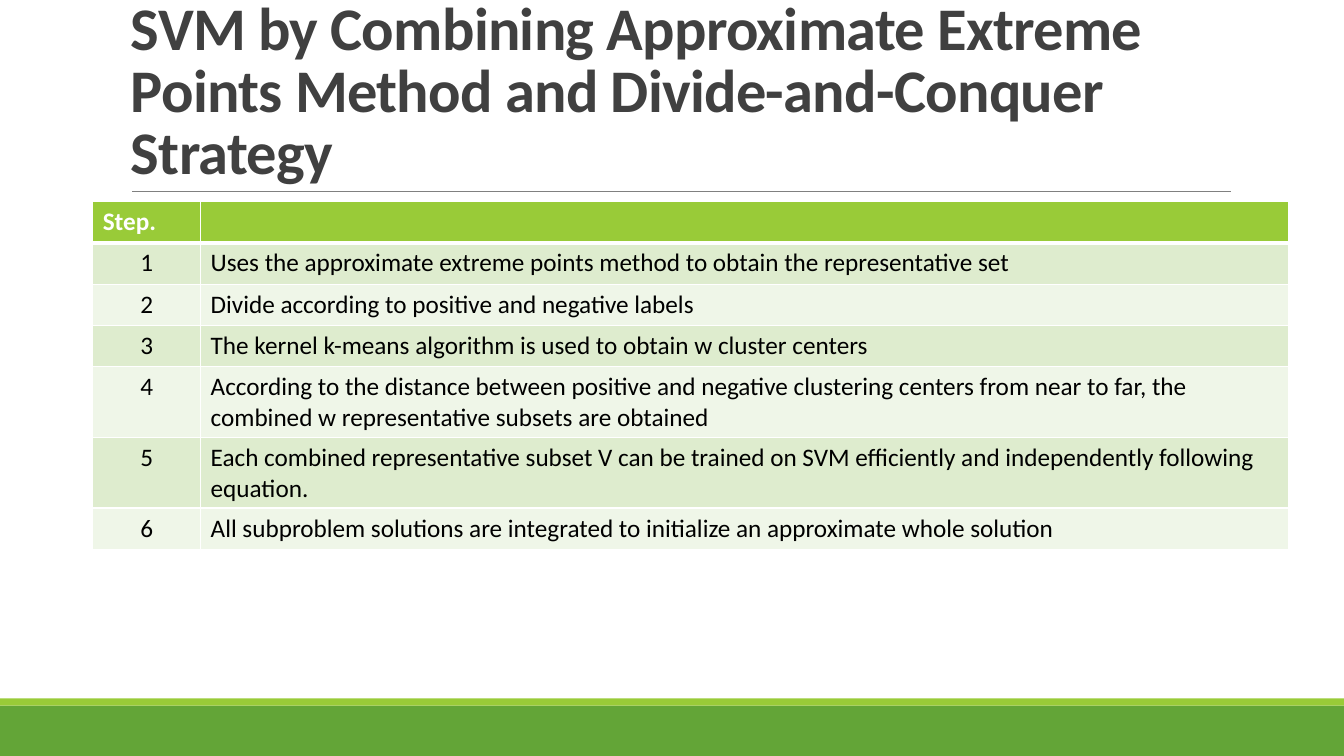
"""Builds the slide listing the steps of the combined SVM method."""
from dataclasses import dataclass

from lxml import etree
from pptx import Presentation
from pptx.dml.color import RGBColor
from pptx.enum import shapes, text
from pptx.oxml import ns
from pptx.util import Inches, Pt


@dataclass(frozen=True)
class Theme:
    """Colours, font and type sizes of the slide."""
    font: str = "Calibri"
    title_size: float = 43.2
    table_size: float = 18
    title: str = "404040"
    body: str = "000000"
    white: str = "FFFFFF"
    rule: str = "808080"
    green: str = "63A537"
    lime: str = "99CB38"
    bands: tuple = ("DEECCE", "EFF6E8")


THEME = Theme()
TITLE = ("SVM by Combining Approximate Extreme Points Method "
         "and Divide-and-Conquer Strategy")
STEPS = (
    "Uses the approximate extreme points method to obtain the representative set",
    "Divide according to positive and negative labels",
    "The kernel k-means algorithm is used to obtain w cluster centers",
    "According to the distance between positive and negative clustering centers "
    "from near to far, the combined w representative subsets are obtained",
    "Each combined representative subset V can be trained on SVM efficiently "
    "and independently following equation.",
    "All subproblem solutions are integrated to initialize an approximate whole solution",
)
COLUMN_WIDTHS = (1.07, 10.79)
ROW_HEIGHT = 0.41


def style_runs(paragraph, size, color, bold=False):
    """Format every run of a paragraph."""
    for run in paragraph.runs:
        run.font.name = THEME.font
        run.font.size = Pt(size)
        run.font.bold = bold
        run.font.color.rgb = RGBColor.from_string(color)


def add_band(slide, top, height, color):
    """Add a full-width footer band."""
    band = slide.shapes.add_shape(shapes.MSO_SHAPE.RECTANGLE, 0, Inches(top),
                                  Inches(13.33), Inches(height))
    band.shadow.inherit = False
    band.fill.solid()
    band.fill.fore_color.rgb = RGBColor.from_string(color)
    band.line.fill.background()


def add_rule(slide, left, right, y):
    """Add the thin horizontal line below the title."""
    rule = slide.shapes.add_connector(shapes.MSO_CONNECTOR.STRAIGHT, Inches(left),
                                      Inches(y), Inches(right), Inches(y))
    rule.line.color.rgb = RGBColor.from_string(THEME.rule)
    rule.line.width = Pt(0.5)
    etree.SubElement(rule.element.spPr, ns.qn("a:effectLst"))


def add_title(slide, wording):
    """Add the bottom-anchored title."""
    box = slide.shapes.add_textbox(Inches(1.2), Inches(0.31), Inches(11), Inches(1.59))
    frame = box.text_frame
    frame.text = wording
    frame.word_wrap = True
    frame.vertical_anchor = text.MSO_ANCHOR.BOTTOM
    paragraph = frame.paragraphs[0]
    paragraph.line_spacing = 0.85
    style_runs(paragraph, THEME.title_size, THEME.title, bold=True)
    for run in paragraph.runs:
        run.font._element.set("spc", "-50")


def set_borders(cell, top, bottom):
    """Give a cell white borders, with the top and bottom widths in points."""
    properties = cell._tc.get_or_add_tcPr()
    widths = {"a:lnL": 1, "a:lnR": 1, "a:lnT": top, "a:lnB": bottom}
    for position, (tag, width) in enumerate(widths.items()):
        border = etree.Element(ns.qn(tag), w=str(Pt(width)))
        fill = etree.SubElement(border, ns.qn("a:solidFill"))
        etree.SubElement(fill, ns.qn("a:srgbClr"), val=THEME.white)
        properties.insert(position, border)


def fill_cell(cell, wording, row, centred):
    """Write and format one cell according to its row."""
    header = row == 0
    cell.text = wording
    cell.fill.solid()
    cell.fill.fore_color.rgb = RGBColor.from_string(
        THEME.lime if header else THEME.bands[(row - 1) % 2])
    paragraph = cell.text_frame.paragraphs[0]
    if centred:
        paragraph.alignment = text.PP_ALIGN.CENTER
    style_runs(paragraph, THEME.table_size, THEME.white if header else THEME.body, header)
    set_borders(cell, top=3 if row == 1 else 1, bottom=3 if header else 1)


def add_steps_table(slide, steps):
    """Add the table of numbered steps."""
    rows = [("Step.", "")] + [(str(number), step) for number, step in enumerate(steps, 1)]
    table = slide.shapes.add_table(
        len(rows), len(COLUMN_WIDTHS), Inches(0.92), Inches(2),
        Inches(sum(COLUMN_WIDTHS)), Inches(ROW_HEIGHT * len(rows))).table
    for column, width in zip(table.columns, COLUMN_WIDTHS):
        column.width = Inches(width)
    for row, wordings in enumerate(rows):
        table.rows[row].height = Inches(ROW_HEIGHT)
        for column, wording in enumerate(wordings):
            fill_cell(table.cell(row, column), wording, row,
                      centred=row > 0 and column == 0)


def main():
    """Build and save the slide."""
    presentation = Presentation()
    presentation.slide_width = Inches(13.33)
    presentation.slide_height = Inches(7.5)
    slide = presentation.slides.add_slide(presentation.slide_layouts[6])
    add_band(slide, 7, 0.5, THEME.green)
    add_band(slide, 6.93, 0.07, THEME.lime)
    add_rule(slide, 1.31, 12.21, 1.9)
    add_title(slide, TITLE)
    add_steps_table(slide, STEPS)
    presentation.save("out.pptx")


if __name__ == "__main__":
    main()
